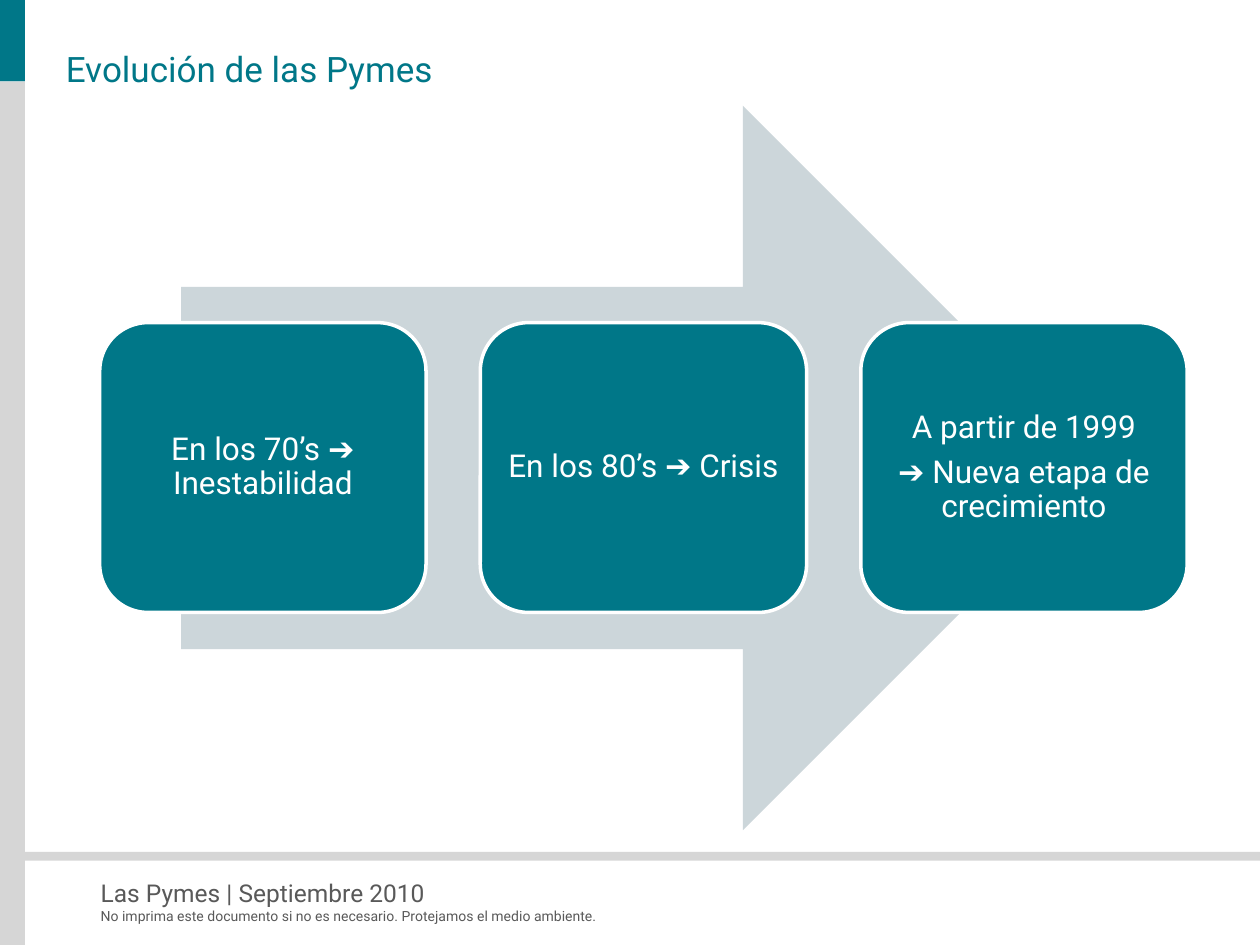
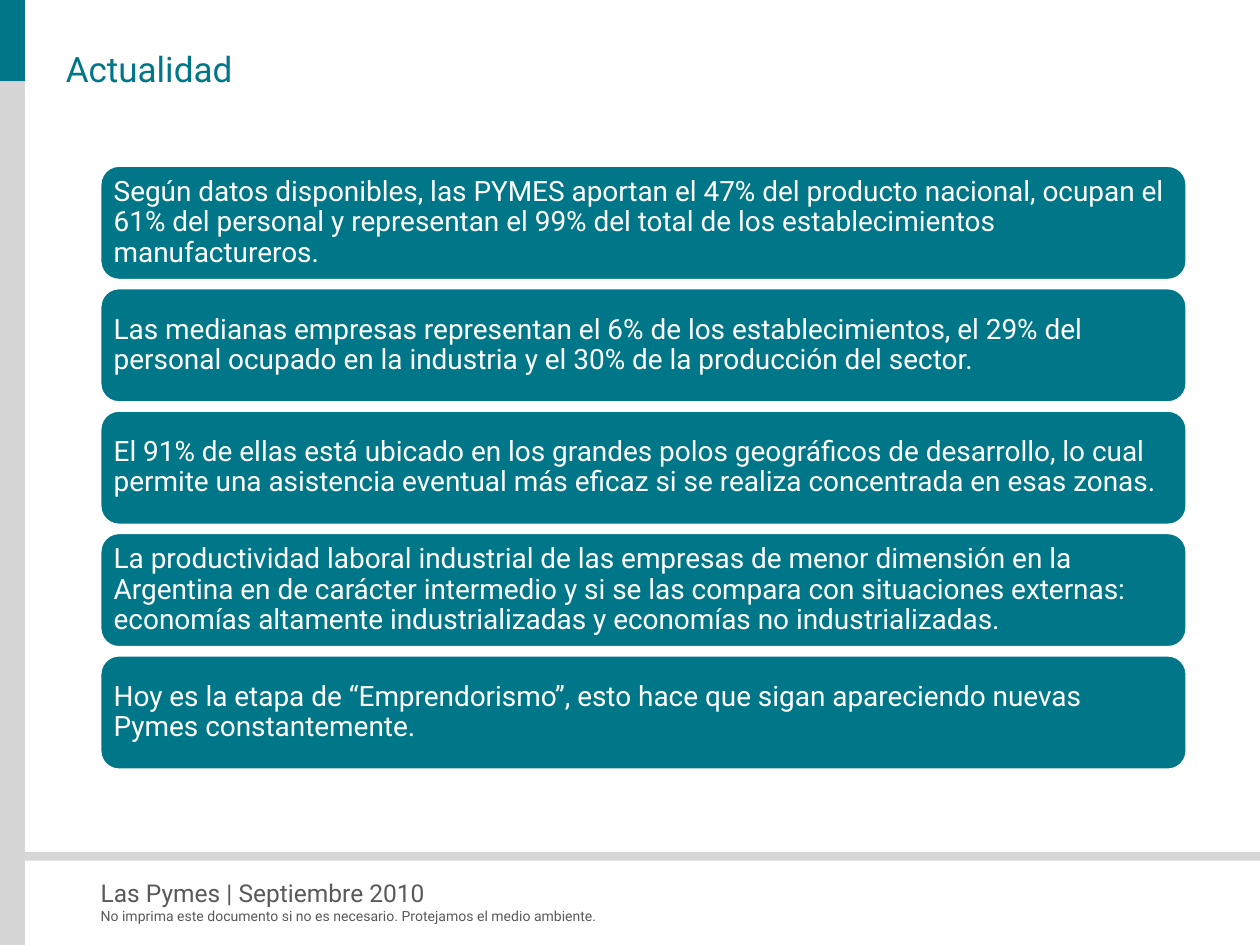
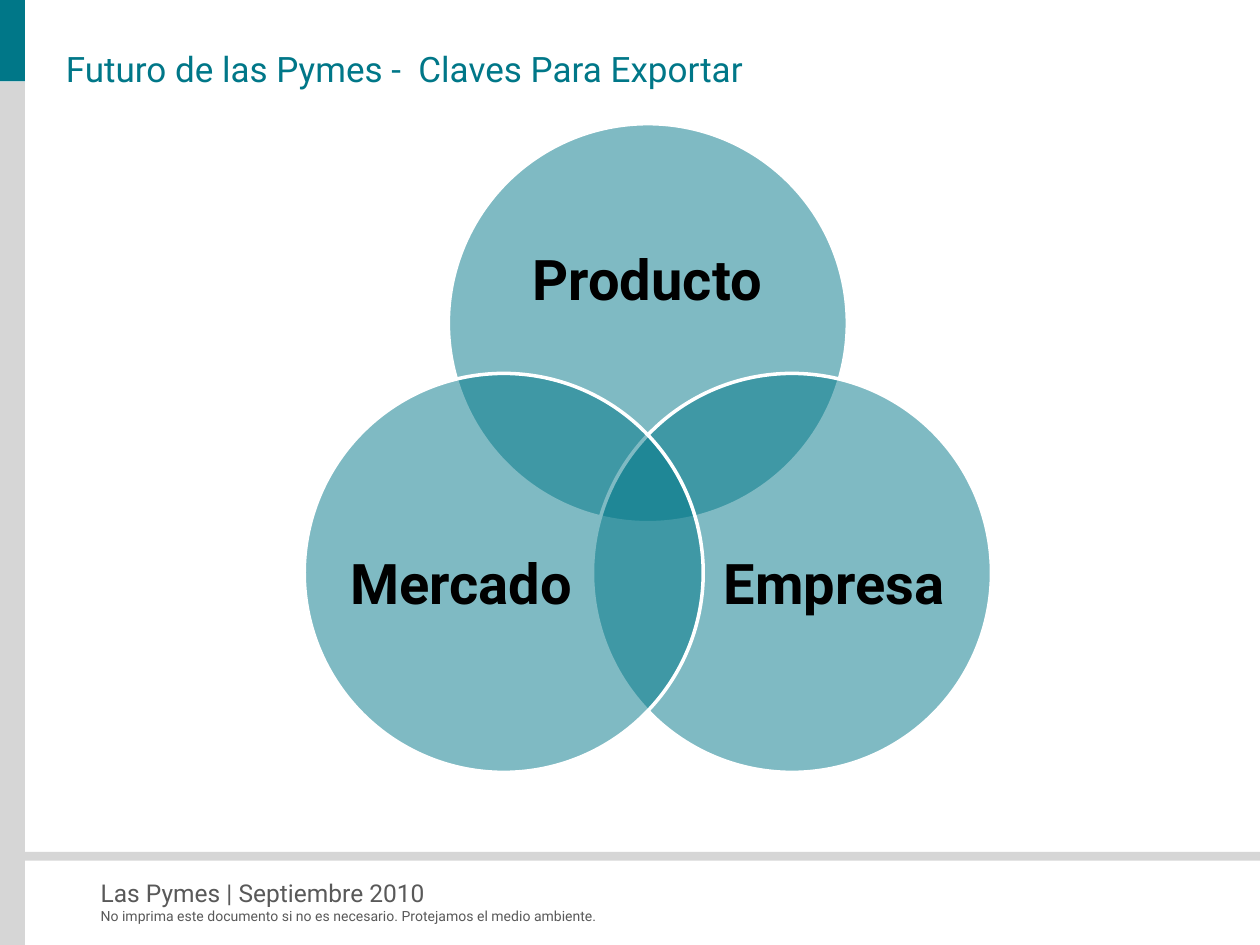
from dataclasses import dataclass
from math import cos, radians, sin

from lxml import etree
from pptx import Presentation
from pptx.dml.color import RGBColor
from pptx.enum import shapes, text
from pptx.oxml import ns
from pptx.util import Pt


@dataclass(frozen=True)
class Theme:
    """Colours, font and type sizes of the presentation."""
    font: str = "Roboto"
    teal: str = "007788"
    band: str = "D6D6D6"
    arrow: str = "CCD6DA"
    footer: str = "595959"
    white: str = "FFFFFF"
    black: str = "000000"
    title_size: int = 20
    stage_size: int = 18
    fact_size: int = 16
    venn_size: int = 32
    footer_size: int = 14
    notice_size: int = 8


THEME = Theme()
CONTENT_LEFT, CONTENT_WIDTH = 57, 621.4

STAGES = [
    ["En los 70’s ➔ Inestabilidad"],
    ["En los 80’s ➔ Crisis"],
    ["A partir de 1999", "➔ Nueva etapa de crecimiento"],
]
FACTS = [
    "Según datos disponibles, las PYMES aportan el 47% del producto nacional, ocupan el 61% "
    "del personal y representan el 99% del total de los establecimientos manufactureros.",
    "Las medianas empresas representan el 6% de los establecimientos, el 29% del personal "
    "ocupado en la industria y el 30% de la producción del sector.",
    "El 91% de ellas está ubicado en los grandes polos geográficos de desarrollo, lo cual "
    "permite una asistencia eventual más eficaz si se realiza concentrada en esas zonas.",
    "La productividad laboral industrial de las empresas de menor dimensión en la Argentina "
    "en de carácter intermedio y si se las compara con situaciones externas: economías "
    "altamente industrializadas y economías no industrializadas.",
    "Hoy es la etapa de “Emprendorismo”, esto hace que sigan apareciendo nuevas Pymes "
    "constantemente.",
]
EXPORT_KEYS = [
    ("Producto", (286.5, 110.2, 167, 102.2)),
    ("Empresa", (408.2, 272.2, 136.8, 125.3)),
    ("Mercado", (195.1, 272.2, 136.8, 125.3)),
]


def points(*lengths):
    """Turn numbers into point lengths."""
    return [Pt(length) for length in lengths]


def write_text(frame, lines, size, colour, align=text.PP_ALIGN.LEFT,
               anchor=text.MSO_ANCHOR.MIDDLE, inset=0, bold=False):
    """Fill a text frame with evenly formatted paragraphs."""
    frame.word_wrap = True
    frame.auto_size = text.MSO_AUTO_SIZE.NONE
    frame.vertical_anchor = anchor
    frame.margin_left = frame.margin_top = frame.margin_right = frame.margin_bottom = Pt(inset)
    frame.text = "\n".join(lines)
    for paragraph in frame.paragraphs:
        paragraph.alignment = align
        paragraph.font.name = THEME.font
        paragraph.font.size = Pt(size)
        paragraph.font.bold = bold
        paragraph.font.color.rgb = RGBColor.from_string(colour)


def set_diagram_spacing(frame, size):
    """Tighten lines and separate paragraphs in diagram text."""
    for paragraph in frame.paragraphs:
        paragraph.line_spacing = 0.9
        paragraph.space_after = Pt(0.35 * size)


def add_shape(slide, kind, box, fill, outlined=False):
    """Add a flat filled shape, with a white outline if asked."""
    shape = slide.shapes.add_shape(kind, *points(*box))
    shape.shadow.inherit = False
    shape.fill.solid()
    shape.fill.fore_color.rgb = RGBColor.from_string(fill)
    if outlined:
        shape.line.color.rgb = RGBColor.from_string(THEME.white)
        shape.line.width = Pt(2)
    else:
        shape.line.fill.background()
    return shape


def add_text(slide, box, line, size, colour, **style):
    """Add a text box holding one line."""
    shape = slide.shapes.add_textbox(*points(*box))
    write_text(shape.text_frame, [line], size, colour, **style)
    return shape


def add_card(slide, box, lines, size, align):
    """Add a teal rounded card with its text."""
    card = add_shape(slide, shapes.MSO_SHAPE.ROUNDED_RECTANGLE, box, THEME.teal, outlined=True)
    write_text(card.text_frame, lines, size, THEME.white, align, inset=0.3 * size)
    set_diagram_spacing(card.text_frame, size)


def set_opacity(shape, percent):
    """Make a solid fill partly transparent."""
    colour = shape.element.spPr.find(ns.qn("a:solidFill"))[0]
    etree.SubElement(colour, ns.qn("a:alpha"), val=str(percent * 1000))


def decorate_layout(layout, slide):
    """Draw the bands and footer and move them into the shared layout."""
    for placeholder in list(layout.placeholders):
        if placeholder.placeholder_format.type != shapes.PP_PLACEHOLDER.TITLE:
            placeholder.element.getparent().remove(placeholder.element)
    rectangle = shapes.MSO_SHAPE.RECTANGLE
    top = text.MSO_ANCHOR.TOP
    decorations = [
        add_shape(slide, rectangle, (0, 0, 14.2, 46.6), THEME.teal),
        add_shape(slide, rectangle, (0, 46.6, 14.2, 493.4), THEME.band),
        add_shape(slide, rectangle, (12.2, 486.8, 707.8, 5), THEME.band),
        add_text(slide, (57.5, 502, 517, 17), "Las Pymes | Septiembre 2010",
                 THEME.footer_size, THEME.footer, anchor=top),
        add_text(slide, (57.5, 518.4, 479, 9.5),
                 "No imprima este documento si no es necesario. Protejamos el medio ambiente.",
                 THEME.notice_size, THEME.footer, anchor=top),
    ]
    for shape in decorations:
        layout.shapes.element.append(shape.element)


def add_titled_slide(presentation, title):
    """Add a title-only slide with the title in place."""
    slide = presentation.slides.add_slide(presentation.slide_layouts[5])
    shape = slide.shapes.title
    shape.left, shape.top, shape.width, shape.height = points(37.6, 27.4, 665.3, 23)
    write_text(shape.text_frame, [title], THEME.title_size, THEME.teal)
    return slide


def add_stages(slide):
    """Draw the stages in a row over a wide arrow."""
    add_shape(slide, shapes.MSO_SHAPE.RIGHT_ARROW, (103.5, 60.4, 528, 414), THEME.arrow)
    gap = 31
    width = (CONTENT_WIDTH - gap * (len(STAGES) - 1)) / len(STAGES)
    for index, lines in enumerate(STAGES):
        box = (CONTENT_LEFT + index * (width + gap), 184.4, width, 165.6)
        add_card(slide, box, lines, THEME.stage_size, text.PP_ALIGN.CENTER)


def add_facts(slide):
    """Stack the facts as full-width bars."""
    height, pitch = 65.9, 69.95
    for index, fact in enumerate(FACTS):
        box = (CONTENT_LEFT, 94.4 + index * pitch, CONTENT_WIDTH, height)
        add_card(slide, box, [fact], THEME.fact_size, text.PP_ALIGN.LEFT)


def add_venn(slide):
    """Place overlapping circles evenly around a centre, each with its label."""
    centre_x, centre_y, orbit, diameter = 370.2, 279.8, 95.1, 228
    for index, (label, label_box) in enumerate(EXPORT_KEYS):
        angle = radians(index * 360 / len(EXPORT_KEYS) - 90)
        left = centre_x + orbit * cos(angle) - diameter / 2
        top = centre_y + orbit * sin(angle) - diameter / 2
        circle = add_shape(slide, shapes.MSO_SHAPE.OVAL, (left, top, diameter, diameter),
                           THEME.teal, outlined=True)
        set_opacity(circle, 50)
        caption = add_text(slide, label_box, label, THEME.venn_size, THEME.black,
                           align=text.PP_ALIGN.CENTER, bold=True)
        set_diagram_spacing(caption.text_frame, THEME.venn_size)


def main():
    """Build and save the presentation."""
    presentation = Presentation()
    presentation.slide_width, presentation.slide_height = points(720, 540)
    evolution = add_titled_slide(presentation, "Evolución de las Pymes")
    decorate_layout(evolution.slide_layout, evolution)
    add_stages(evolution)
    add_facts(add_titled_slide(presentation, "Actualidad"))
    add_venn(add_titled_slide(presentation, "Futuro de las Pymes -  Claves Para Exportar"))
    presentation.save("out.pptx")


if __name__ == "__main__":
    main()
